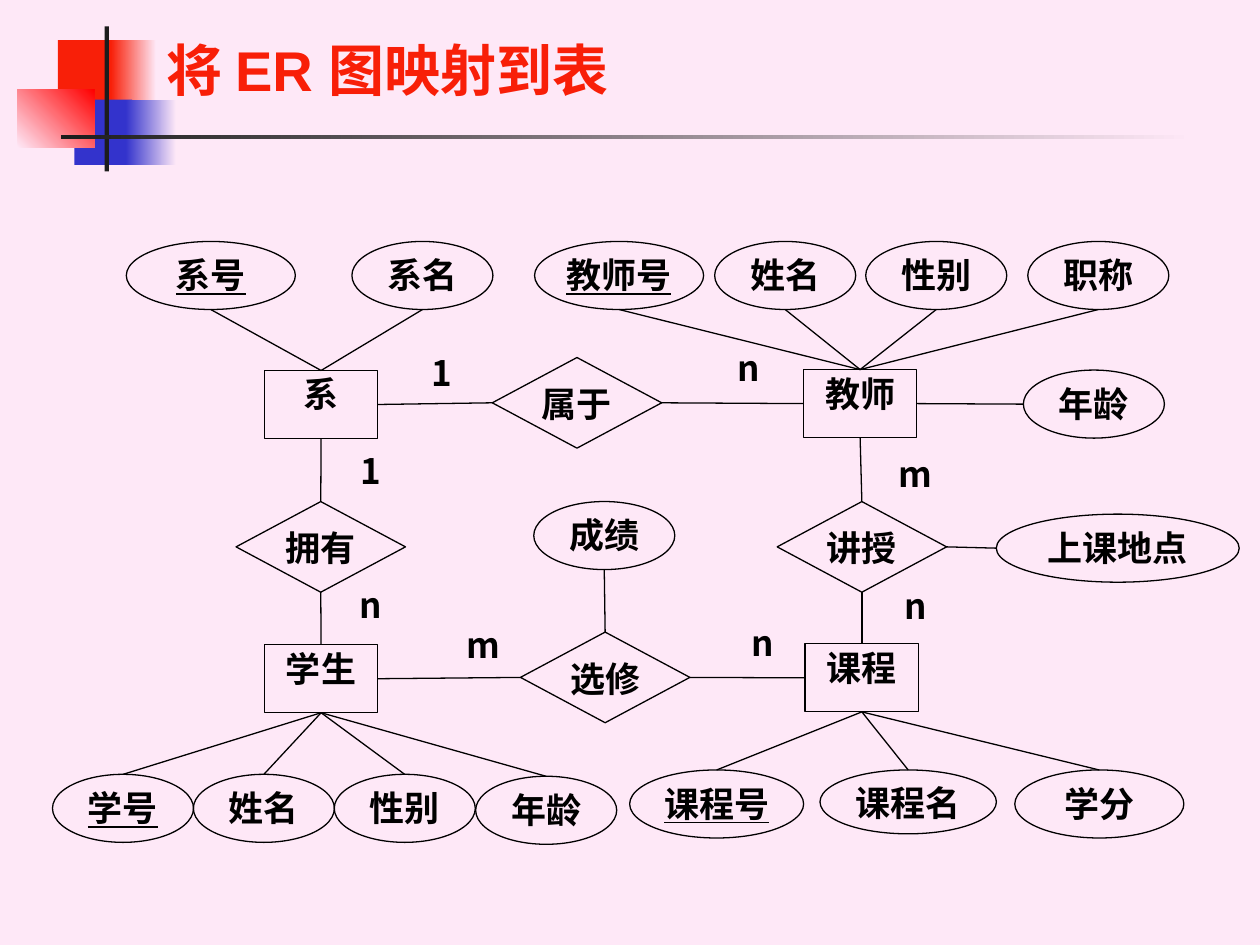
"""Draw an entity-relationship diagram of a school database."""
from dataclasses import dataclass
from typing import Optional

from lxml import etree
from pptx import Presentation
from pptx import util as u
from pptx.dml.color import RGBColor
from pptx.enum import shapes, text
from pptx.oxml.ns import qn

TOP, LEFT, BOTTOM, RIGHT = range(4)
RECT = shapes.MSO_SHAPE.RECTANGLE
DIAMOND = shapes.MSO_SHAPE.DIAMOND
OVAL = shapes.MSO_SHAPE.OVAL


@dataclass(frozen=True)
class Theme:
    background: str = "FEE8F7"
    title: str = "F81F08"
    blue: str = "3333CC"
    red: str = "FF0000"
    dark: str = "1C1C1C"
    ink: str = "000000"
    title_font: str = "Arial"
    body_font: str = "Noto Sans CJK SC"
    title_size: float = 32
    body_size: float = 20
    line_width: float = 0.75


@dataclass(frozen=True)
class Ornament:
    x: float
    y: float
    w: float
    h: float
    color: str
    fade_to: Optional[str] = None
    angle: float = 0


@dataclass(frozen=True)
class Node:
    label: str
    x: float
    y: float
    kind: shapes.MSO_SHAPE
    w: float
    h: float


@dataclass(frozen=True)
class Attribute:
    label: str
    owner: str
    owner_side: int
    side: int
    x: float
    y: float
    w: float = 80.6
    h: float = 38.9
    key: bool = False


@dataclass(frozen=True)
class Link:
    relation: str
    relation_side: int
    entity: str
    entity_side: int
    cardinality: str
    x: float
    y: float
    w: float = 48.2


THEME = Theme()
ORNAMENTS = [
    Ornament(33.1, 23, 34.6, 37.4, THEME.title),
    Ornament(63.4, 23, 25.9, 37.4, THEME.title, THEME.background),
    Ornament(42.5, 56.9, 33.1, 37.4, THEME.blue),
    Ornament(72, 56.9, 28.8, 37.4, THEME.blue, THEME.background),
    Ornament(10.1, 51.1, 43.9, 33.1, THEME.background, THEME.red, 45),
    Ornament(59.8, 15.1, 2.4, 82.8, THEME.dark),
    Ornament(34.6, 77, 648, 2.4, THEME.dark, THEME.background),
]
ENTITIES = [
    Node(label, x, y, RECT, 64.8, 38.9)
    for label, x, y in [("系", 151.1, 211.7), ("教师", 459.1, 211.2),
                        ("学生", 151.1, 368.4), ("课程", 460.1, 367.9)]
]
RELATIONS = [
    Node(label, x, y, DIAMOND, 96.8, 51.8)
    for label, x, y in [("属于", 281.3, 204.3), ("拥有", 134.9, 286.6),
                        ("讲授", 444.1, 286.6), ("选修", 297.4, 361.2)]
]
UPPER, STUDENT_ROW, COURSE_ROW = 138, 442.5, 440
ATTRIBUTES = [
    Attribute("系号", "系", TOP, BOTTOM, 72.2, UPPER, 96.6, key=True),
    Attribute("系名", "系", TOP, BOTTOM, 201.1, UPPER),
    Attribute("教师号", "教师", TOP, BOTTOM, 305.5, UPPER, 96.6, key=True),
    Attribute("姓名", "教师", TOP, BOTTOM, 408.4, UPPER),
    Attribute("性别", "教师", TOP, BOTTOM, 494.7, UPPER),
    Attribute("职称", "教师", TOP, BOTTOM, 587.3, UPPER),
    Attribute("年龄", "教师", RIGHT, LEFT, 584.8, 211.5),
    Attribute("学号", "学生", BOTTOM, TOP, 30, STUDENT_ROW, key=True),
    Attribute("姓名", "学生", BOTTOM, TOP, 110.5, STUDENT_ROW),
    Attribute("性别", "学生", BOTTOM, TOP, 191, STUDENT_ROW),
    Attribute("年龄", "学生", BOTTOM, TOP, 271.8, 443.6),
    Attribute("课程号", "课程", BOTTOM, TOP, 359.8, COURSE_ROW, 99.4, key=True),
    Attribute("课程名", "课程", BOTTOM, TOP, 468.6, COURSE_ROW, 100.8, 36.5),
    Attribute("学分", "课程", BOTTOM, TOP, 579.9, COURSE_ROW, 96.6),
    Attribute("成绩", "选修", TOP, BOTTOM, 305, 286.6),
    Attribute("上课地点", "讲授", RIGHT, LEFT, 569.3, 293.8, 138.8),
]
LINKS = [
    Link("属于", LEFT, "系", RIGHT, "1", 236.2, 199.4, 32.4),
    Link("属于", RIGHT, "教师", LEFT, "n", 403.9, 196.6),
    Link("拥有", TOP, "系", BOTTOM, "1", 187.9, 255.6),
    Link("拥有", BOTTOM, "学生", TOP, "n", 187.9, 331.9),
    Link("讲授", TOP, "教师", BOTTOM, "m", 499, 257),
    Link("讲授", BOTTOM, "课程", TOP, "n", 499, 332.6),
    Link("选修", LEFT, "学生", RIGHT, "m", 252, 355),
    Link("选修", RIGHT, "课程", LEFT, "n", 411.8, 353.5),
]


def rgb(color: str) -> RGBColor:
    """Turn a hex string into a colour."""
    return RGBColor.from_string(color)


def frame(item) -> list:
    """Give the position and size of an item as lengths."""
    return [u.Pt(value) for value in (item.x, item.y, item.w, item.h)]


def side_point(box, side: int) -> tuple:
    """Find the middle of one side of a box."""
    across, down = [(0.5, 0), (0, 0.5), (0.5, 1), (1, 0.5)][side]
    return int(box.left + box.width * across), int(box.top + box.height * down)


def write(box, label: str, key: bool = False) -> None:
    """Put a centred label into a box."""
    body = box.text_frame
    body.word_wrap = True
    body.vertical_anchor = text.MSO_ANCHOR.TOP
    body.margin_left = body.margin_right = u.Pt(2.9)
    body.margin_top = body.margin_bottom = u.Pt(1.4)
    para = body.paragraphs[0]
    para.text = label
    para.alignment = text.PP_ALIGN.CENTER
    font = para.font
    font.name, font.size, font.bold = THEME.body_font, u.Pt(THEME.body_size), True
    font.underline = key or None
    font.color.rgb = rgb(THEME.ink)


def draw_ornament(page, item: Ornament) -> None:
    """Draw a plain or fading block of the title decoration."""
    box = page.shapes.add_shape(RECT, *frame(item))
    box.shadow.inherit = False
    box.line.fill.background()
    if item.fade_to is None:
        box.fill.solid()
        box.fill.fore_color.rgb = rgb(item.color)
        return
    box.fill.gradient()
    box.fill.gradient_angle = item.angle
    for stop, color in zip(box.fill.gradient_stops, (item.color, item.fade_to)):
        stop.color.rgb = rgb(color)


def draw_outline(page, kind: shapes.MSO_SHAPE, item, key: bool = False):
    """Draw an unfilled labelled shape."""
    box = page.shapes.add_shape(kind, *frame(item))
    box.shadow.inherit = False
    box.fill.background()
    box.line.color.rgb = rgb(THEME.ink)
    box.line.width = u.Pt(THEME.line_width)
    write(box, item.label, key)
    return box


def draw_line(page, start, start_side: int, end, end_side: int):
    """Draw a line joined to the start box and reaching the end box."""
    line = page.shapes.add_connector(
        shapes.MSO_CONNECTOR.STRAIGHT,
        *side_point(start, start_side), *side_point(end, end_side))
    line.begin_connect(start, start_side)
    line.line.color.rgb = rgb(THEME.ink)
    line.line.width = u.Pt(THEME.line_width)
    etree.SubElement(line._element.spPr, qn("a:effectLst"))
    return line


def draw_title(page, label: str) -> None:
    """Place and format the slide title."""
    title = page.shapes.title
    title.left, title.top, title.width, title.height = map(u.Pt, (87.8, 0, 613.4, 62.6))
    body = title.text_frame
    body.auto_size = text.MSO_AUTO_SIZE.NONE
    body.vertical_anchor = text.MSO_ANCHOR.BOTTOM
    para = body.paragraphs[0]
    para.text = label
    para.alignment = text.PP_ALIGN.LEFT
    font = para.font
    font.name, font.size, font.bold = THEME.title_font, u.Pt(THEME.title_size), True
    font.color.rgb = rgb(THEME.title)


def main() -> None:
    """Build and save the deck."""
    deck = Presentation()
    deck.slide_width, deck.slide_height = u.Pt(720), u.Pt(540)
    page = deck.slides.add_slide(deck.slide_layouts[5])
    page.background.fill.solid()
    page.background.fill.fore_color.rgb = rgb(THEME.background)
    for item in ORNAMENTS:
        draw_ornament(page, item)
    draw_title(page, "将 ER 图映射到表")
    boxes = {node.label: draw_outline(page, node.kind, node)
             for node in ENTITIES + RELATIONS}
    for item in ATTRIBUTES:
        oval = draw_outline(page, OVAL, item, item.key)
        draw_line(page, boxes[item.owner], item.owner_side, oval, item.side)
    for link in LINKS:
        relation, entity = boxes[link.relation], boxes[link.entity]
        line = draw_line(page, relation, link.relation_side, entity, link.entity_side)
        line.end_connect(entity, link.entity_side)
        label = page.shapes.add_textbox(*map(u.Pt, (link.x, link.y, link.w, 38.9)))
        write(label, link.cardinality)
    deck.save("out.pptx")


if __name__ == "__main__":
    main()
